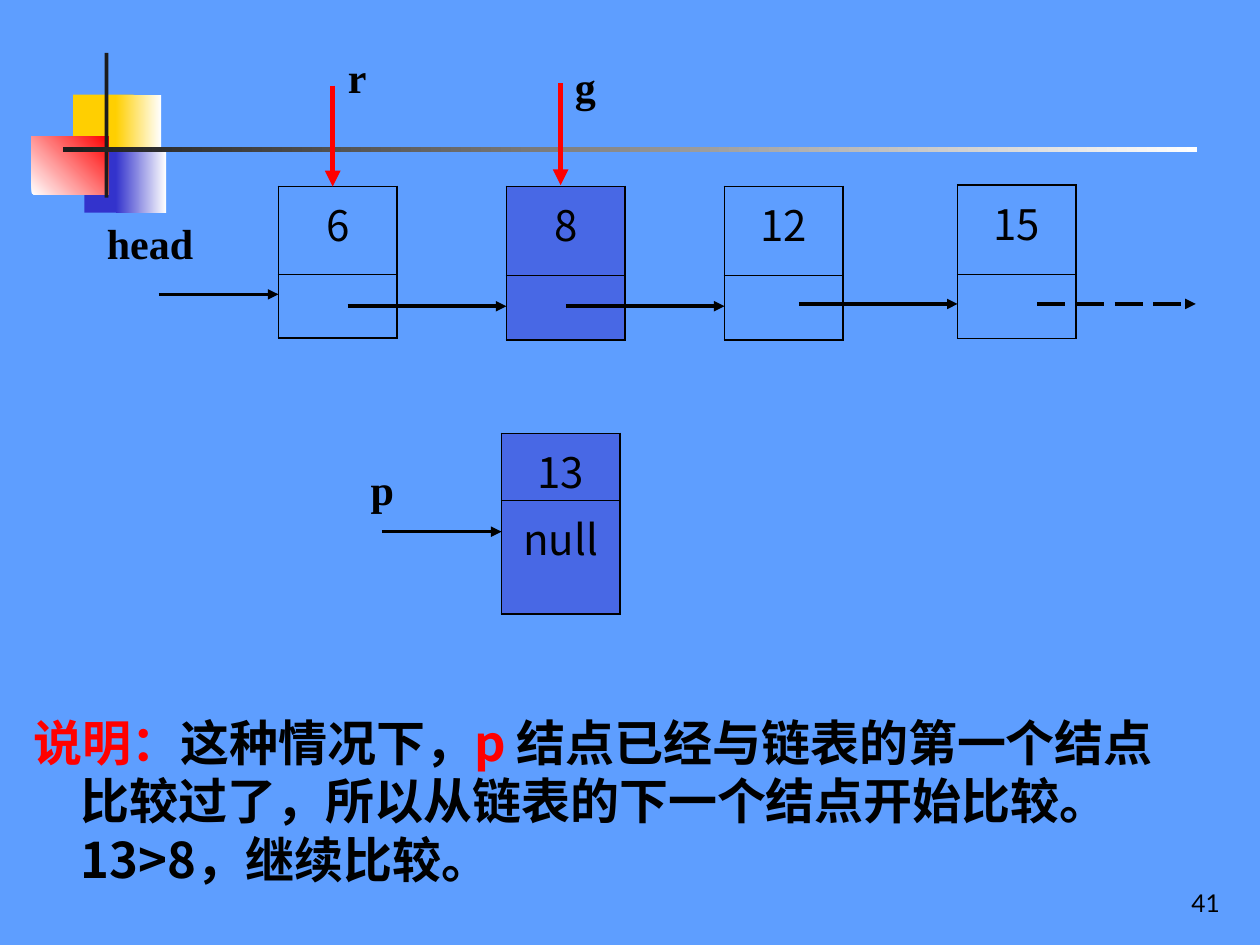
from lxml import etree
from pptx import Presentation
from pptx.dml.color import RGBColor
from pptx.enum.dml import MSO_LINE
from pptx.enum.shapes import MSO_CONNECTOR, MSO_SHAPE
from pptx.enum.text import MSO_ANCHOR, PP_ALIGN
from pptx.oxml.ns import qn
from pptx.util import Pt

LEFT, CENTER, RIGHT = PP_ALIGN.LEFT, PP_ALIGN.CENTER, PP_ALIGN.RIGHT
TOP, BOTTOM = MSO_ANCHOR.TOP, MSO_ANCHOR.BOTTOM
STRAIGHT, RECTANGLE, LONG_DASH = MSO_CONNECTOR.STRAIGHT, MSO_SHAPE.RECTANGLE, MSO_LINE.LONG_DASH

THEME = {
    "background": "5E9EFF", "ink": "000000", "accent": "FF0000", "node": "3333CC",
    "gold": "FFCF01", "white": "FFFFFF", "bar": "1C1C1C",
    "body_font": "Noto Sans CJK SC", "label_font": "Times New Roman", "number_font": "Lato",
    "note_size": 28, "label_size": 24, "number_size": 14,
    "outer_border": 1.08, "inner_border": 0.45, "node_opacity": 50,
}

# Content: all lengths in points
DECORATION = [  # left, top, width, height, colours, gradient angle
    (41.8, 54, 34.6, 37.4, ["gold"], 0),
    (66.2, 54, 25.9, 37.4, ["gold", "white"], 0),
    (48.2, 84.2, 33.1, 37.4, ["node"], 0),
    (66.2, 84.2, 28.8, 37.4, ["node", "white"], 0),
    (18, 77.8, 43.9, 33.1, ["white", "accent"], 45),
    (59.8, 30.2, 2.2, 82.8, ["bar"], 0),
    (36, 84.2, 648, 2.9, ["bar", "white"], 0),
]
NODE_WIDTH = 67.7
NODES = [  # left, top, row heights, cell texts, highlighted
    (159.1, 106.6, (50, 36.7), ("6", ""), False),
    (289.4, 106.6, (51, 36.7), ("8", ""), True),
    (414, 106.6, (51, 36.7), ("12", ""), False),
    (547.2, 105.8, (51, 36.7), ("15", ""), False),
    (286.6, 247.7, (36, 64.8), ("13", "null"), True),
]
LINK_LENGTH, POINTER_LENGTH = 90.7, 68.4
LINKS = [  # start x, y, length, dashed
    (90.7, 168.2, POINTER_LENGTH, False),
    (198.7, 175, LINK_LENGTH, False),
    (323.3, 175, LINK_LENGTH, False),
    (456.5, 173.7, LINK_LENGTH, False),
    (592.6, 173.7, LINK_LENGTH, True),
    (218.2, 303.8, POINTER_LENGTH, False),
]
MARKERS = [(190.1, 49, 106.6), (320.4, 47.5, 105.8)]  # x, top, tip
LABELS = [  # text, left, top, alignment
    ("head", 54, 121, LEFT), ("p", 181.4, 261.4, CENTER),
    ("g", 297.4, 31, CENTER), ("r", 167, 25.9, CENTER),
]
NOTE = [
    ("说明：", "accent"), ("这种情况下，", "ink"), ("p ", "accent"),
    ("结点已经与链表的第一个结点比较过了，所以从链表的下一个结点开始比较。13>8，继续比较。", "ink"),
]


def color(name):
    return RGBColor.from_string(THEME[name])


def write(frame, runs, font="body_font", size="label_size", bold=False, align=LEFT,
          hanging=0, line_height=None):
    """Fill a text frame with one paragraph of (text, colour) runs."""
    paragraph = frame.paragraphs[0]
    paragraph.alignment = align
    if line_height:
        paragraph.line_spacing = Pt(line_height)
    if hanging:
        properties = paragraph._p.get_or_add_pPr()
        properties.set("marL", str(Pt(hanging)))
        properties.set("indent", str(-Pt(hanging)))
    for text, ink in runs:
        run = paragraph.add_run()
        run.text = text
        run.font.name, run.font.size, run.font.bold = THEME[font], Pt(THEME[size]), bold
        run.font.color.rgb = color(ink)
        east_asian = etree.SubElement(run._r.get_or_add_rPr(), qn("a:ea"))
        east_asian.set("typeface", THEME[font])


def add_box(left, top, width, height, anchor=TOP):
    frame = slide.shapes.add_textbox(Pt(left), Pt(top), Pt(width), Pt(height)).text_frame
    frame.word_wrap = True
    frame.vertical_anchor = anchor
    return frame


def add_block(left, top, width, height, colors, angle):
    block = slide.shapes.add_shape(RECTANGLE, Pt(left), Pt(top), Pt(width), Pt(height))
    block.shadow.inherit = False
    block.line.fill.background()
    if len(colors) == 1:
        block.fill.solid()
        block.fill.fore_color.rgb = color(colors[0])
        return
    block.fill.gradient()
    block.fill.gradient_angle = angle
    for stop, name in zip(block.fill.gradient_stops, colors):
        stop.color.rgb = color(name)


def add_arrow(start, end, ink="ink", width=2, dashed=False):
    arrow = slide.shapes.add_connector(STRAIGHT, *(Pt(v) for v in start + end))
    arrow.line.color.rgb = color(ink)
    arrow.line.width = Pt(width)
    if dashed:
        arrow.line.dash_style = LONG_DASH
    etree.SubElement(arrow.line._get_or_add_ln(), qn("a:tailEnd"), type="triangle")
    etree.SubElement(arrow._element.spPr, qn("a:effectLst"))


def set_borders(cell, is_first):
    outer, inner = THEME["outer_border"], THEME["inner_border"]
    widths = {"lnL": outer, "lnR": outer,
              "lnT": outer if is_first else inner, "lnB": inner if is_first else outer}
    properties = cell._tc.get_or_add_tcPr()
    for position, (side, width) in enumerate(widths.items()):
        border = etree.Element(qn("a:" + side), w=str(Pt(width)))
        fill = etree.SubElement(border, qn("a:solidFill"))
        etree.SubElement(fill, qn("a:srgbClr"), val=THEME["ink"])
        properties.insert(position, border)


def add_node(left, top, heights, texts, highlighted):
    table = slide.shapes.add_table(len(texts), 1, Pt(left), Pt(top),
                                   Pt(NODE_WIDTH), Pt(sum(heights))).table
    table.first_row = table.horz_banding = False
    for index, (height, text) in enumerate(zip(heights, texts)):
        table.rows[index].height = Pt(height)
        cell = table.cell(index, 0)
        cell.margin_bottom = 0
        if highlighted:
            cell.fill.solid()
            cell.fill.fore_color.rgb = color("node")
            tint = cell._tc.tcPr.find(".//" + qn("a:srgbClr"))
            etree.SubElement(tint, qn("a:alpha"), val=str(THEME["node_opacity"] * 1000))
        else:
            cell.fill.background()
        set_borders(cell, index == 0)
        if text:
            write(cell.text_frame, [(text, "ink")], align=CENTER)


prs = Presentation()
prs.slide_width, prs.slide_height = Pt(720), Pt(540)
slide = prs.slides.add_slide(prs.slide_layouts[6])
slide.background.fill.solid()
slide.background.fill.fore_color.rgb = color("background")

# Corner decoration and rule
for block_spec in DECORATION:
    add_block(*block_spec)

# List nodes and the node to insert
for node in NODES:
    add_node(*node)

# Links between nodes, and markers from above
for x, y, length, dashed in LINKS:
    add_arrow((x, y), (x + length, y), dashed=dashed)
for x, top, tip in MARKERS:
    add_arrow((x, top), (x, tip), ink="accent", width=3)

# Pointer names
for name, left, top, align in LABELS:
    write(add_box(left, top, 74.2, 36), [(name, "ink")], font="label_font", bold=True, align=align)

# Explanation and page number
note_frame = add_box(12.2, 400.3, 676.8, 108)
note_frame.margin_top = Pt(6.6)
write(note_frame, NOTE, size="note_size", bold=True, hanging=27, line_height=33.6)
write(add_box(554.4, 491.8, 149.8, 36, BOTTOM), [("41", "ink")],
      font="number_font", size="number_size", align=RIGHT)

prs.save("out.pptx")
